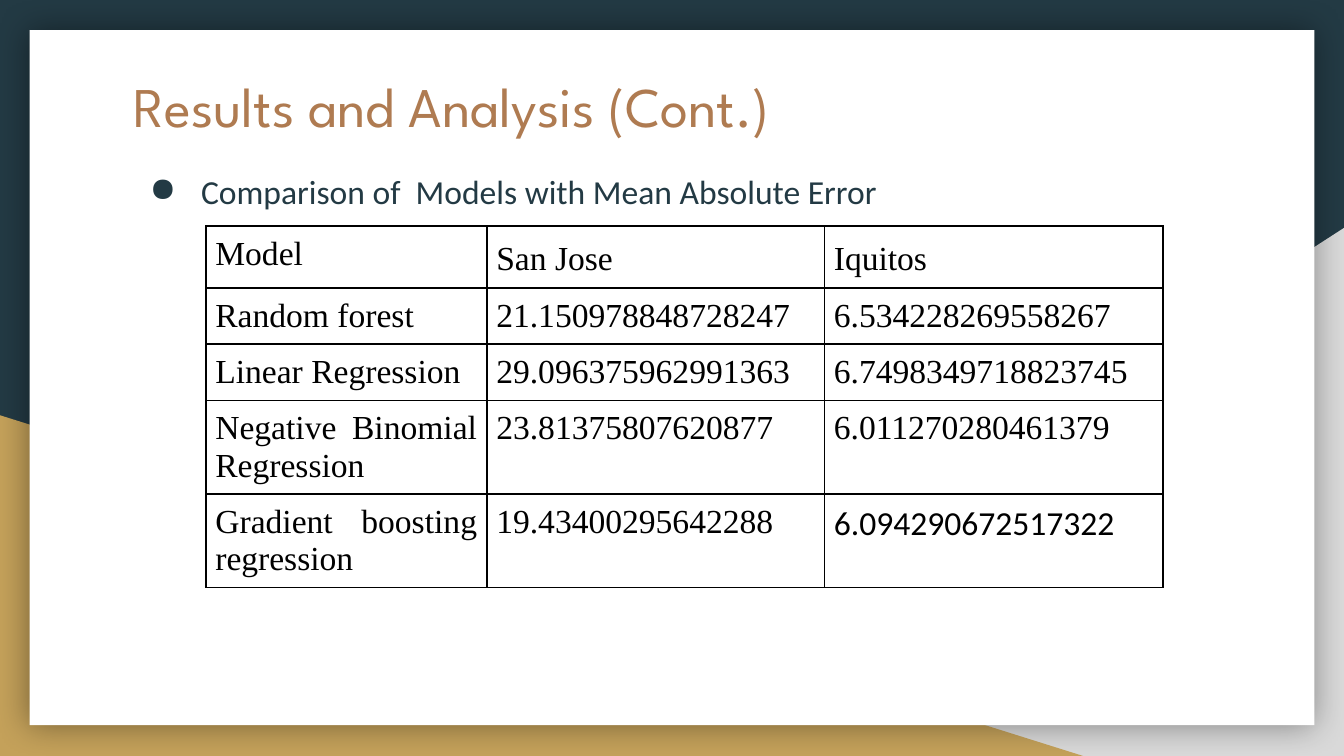
from dataclasses import dataclass

from lxml.etree import SubElement
from pptx import Presentation
from pptx.dml.color import RGBColor as Rgb
from pptx.enum.shapes import MSO_SHAPE as Preset
from pptx.enum.text import MSO_ANCHOR as Anchor, MSO_AUTO_SIZE as Fit, PP_ALIGN as Align
from pptx.oxml.ns import qn
from pptx.util import Cm, Pt

SIDES = ("left", "right", "top", "bottom")


@dataclass(frozen=True)
class Theme:
    """Colours, fonts and type sizes of the deck."""
    navy: str = "233A44"
    grey: str = "D9D9D9"
    gold: str = "C4A15A"
    white: str = "FFFFFF"
    copper: str = "AF7B51"
    black: str = "000000"
    heading_font: str = "League Spartan"
    body_font: str = "Calibri"
    table_font: str = "Times New Roman"
    heading_size: int = 30
    body_size: int = 18


def assign(target, values):
    """Set each attribute of the target from a dict of values."""
    for name, value in values.items():
        setattr(target, name, value)


def add_xml(parent, tag, **attributes):
    """Append a child element with the given attributes."""
    return SubElement(parent, qn(tag), attributes)


class PageBuilder:
    """Holds the theme and the current page and adds elements to it."""

    def __init__(self, deck, theme):
        """Start a title-only page on the dark background."""
        self.theme = theme
        self.page = deck.slides.add_slide(deck.slide_layouts[5])
        self.paint(self.page.background.fill, theme.navy)

    def paint(self, fill, colour):
        """Give a fill one solid colour."""
        fill.solid()
        fill.fore_color.rgb = Rgb.from_string(colour)

    def shape(self, preset, left, top, width, height, colour, flip=False, glow=False):
        """Add a plain filled shape, optionally mirrored or with a soft shadow."""
        shape = self.page.shapes.add_shape(preset, Cm(left), Cm(top), Cm(width), Cm(height))
        shape.shadow.inherit = False
        self.paint(shape.fill, colour)
        shape.line.fill.background()
        properties = shape._element.spPr
        if flip:
            properties.xfrm.set("flipH", "1")
        if glow:
            effects = properties.find(qn("a:effectLst"))
            shadow = add_xml(effects, "a:outerShdw", blurRad=str(Pt(18)), dist="0",
                             algn="ctr", rotWithShape="0")
            shade = add_xml(shadow, "a:srgbClr", val=self.theme.black)
            add_xml(shade, "a:alpha", val="40000")

    def paragraph(self, frame, text, font, size, colour, align=Align.LEFT, spacing=1.0):
        """Fill a text frame with one formatted paragraph and return it."""
        frame.word_wrap = True
        para = frame.paragraphs[0]
        assign(para, {"alignment": align, "line_spacing": spacing})
        span = para.add_run()
        span.text = text
        assign(span.font, {"name": font, "size": Pt(size), "bold": False})
        span.font.color.rgb = Rgb.from_string(colour)
        return para

    def inset(self, frame):
        """Give a text box even margins, a fixed size and text at the top."""
        assign(frame, {f"margin_{side}": Cm(0.25) for side in SIDES})
        assign(frame, {"auto_size": Fit.NONE, "vertical_anchor": Anchor.TOP})

    def title(self, text, left, top, width, height):
        """Move the title placeholder to the front and format it."""
        box = self.page.shapes.title
        assign(box, {"left": Cm(left), "top": Cm(top), "width": Cm(width), "height": Cm(height)})
        self.page.shapes._spTree.append(box._element)
        self.inset(box.text_frame)
        theme = self.theme
        self.paragraph(box.text_frame, text, theme.heading_font, theme.heading_size, theme.copper)

    def bullet(self, text, left, top, width, height):
        """Add a text box with one bulleted line."""
        box = self.page.shapes.add_textbox(Cm(left), Cm(top), Cm(width), Cm(height))
        self.inset(box.text_frame)
        theme = self.theme
        para = self.paragraph(box.text_frame, text, theme.body_font, theme.body_size,
                              theme.navy, spacing=1.15)
        properties = para._p.get_or_add_pPr()
        properties.set("marL", str(Cm(1.27)))
        properties.set("indent", str(Cm(-0.97)))
        add_xml(add_xml(properties, "a:buClr"), "a:srgbClr", val=theme.navy)
        add_xml(properties, "a:buChar", char="●")

    def outline(self, cell):
        """Draw a thin black border on all sides of a cell."""
        properties = cell._tc.get_or_add_tcPr()
        for index, side in enumerate("LRTB"):
            line = add_xml(properties, f"a:ln{side}", w=str(Pt(1)))
            add_xml(add_xml(line, "a:solidFill"), "a:srgbClr", val=self.theme.black)
            properties.insert(index, line)

    def table(self, rows, left, top, widths, heights, fonts):
        """Add a ruled table; fonts names the cells that leave the table font."""
        theme = self.theme
        grid = self.page.shapes.add_table(len(rows), len(widths), Cm(left), Cm(top),
                                          Cm(sum(widths)), Cm(sum(heights))).table
        assign(grid, {"first_row": False, "horz_banding": False})
        for column, width in zip(grid.columns, widths):
            column.width = Cm(width)
        for row, height in zip(grid.rows, heights):
            row.height = Cm(height)
        for r, values in enumerate(rows):
            for c, value in enumerate(values):
                cell = grid.cell(r, c)
                assign(cell, {f"margin_{side}": Cm(0.18) for side in SIDES})
                cell.fill.background()
                self.outline(cell)
                self.paragraph(cell.text_frame, value, fonts.get((r, c), theme.table_font),
                               theme.body_size, theme.black, Align.JUSTIFY,
                               1.15 if r == 0 and c > 0 else 1.0)


def main():
    """Build the results page and save the deck."""
    deck = Presentation()
    assign(deck, {"slide_width": Cm(25.4), "slide_height": Cm(14.29)})
    theme = Theme()
    page = PageBuilder(deck, theme)
    page.shape(Preset.RIGHT_TRIANGLE, 9.96, 4.31, 15.44, 9.98, theme.grey, flip=True)
    page.shape(Preset.RIGHT_TRIANGLE, 0, 7.85, 20.47, 6.44, theme.gold)
    page.shape(Preset.RECTANGLE, 0.56, 0.57, 24.28, 13.14, theme.white, glow=True)
    page.title("Results and Analysis (Cont.)", 2.28, 1.1, 20.85, 2.64)
    page.bullet("Comparison of  Models with Mean Absolute Error", 2.28, 2.87, 20.85, 6.8)
    rows = [
        ("Model", "San Jose", "Iquitos"),
        ("Random forest", "21.150978848728247", "6.534228269558267"),
        ("Linear Regression", "29.096375962991363", "6.7498349718823745"),
        ("Negative Binomial Regression", "23.81375807620877", "6.011270280461379"),
        ("Gradient boosting regression", "19.43400295642288", "6.094290672517322"),
    ]
    page.table(rows, 3.89, 4.27, (5.31, 6.38, 6.4), (1.17, 1.05, 1.05, 1.75, 1.75),
               {(4, 2): theme.body_font})
    deck.save("out.pptx")


if __name__ == "__main__":
    main()
